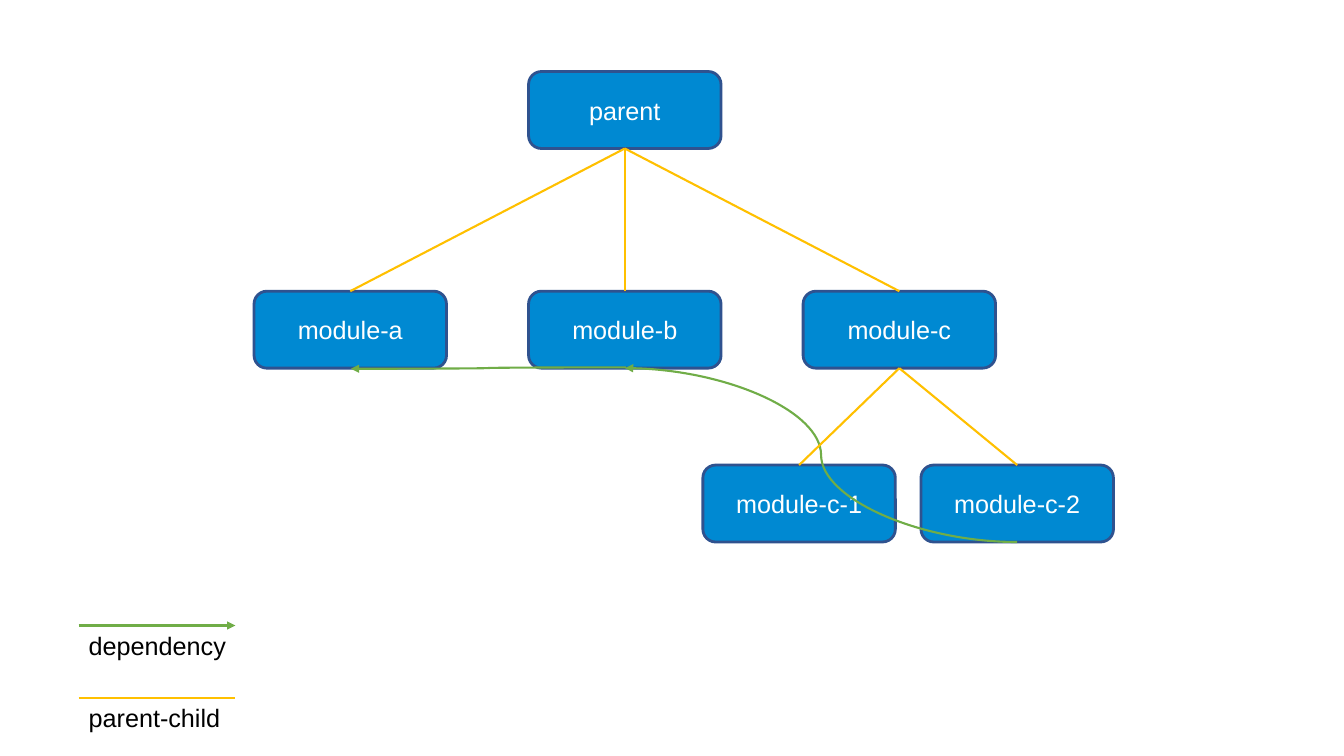
from dataclasses import dataclass

from lxml import etree
from pptx import Presentation
from pptx import util as u
from pptx.dml.color import RGBColor
from pptx.enum import shapes, text
from pptx.oxml.ns import qn


@dataclass(frozen=True)
class Theme:
    """Colours, type and line sizes of the slide."""
    box: str = "0089D2"
    edge: str = "2F528F"
    light: str = "FFFFFF"
    dark: str = "000000"
    child: str = "FFC000"
    dep: str = "70AD47"
    font: str = "Arial"
    size: float = 18
    rim: float = 2
    wire: float = 1.5


THEME = Theme()
WIDTH, HEIGHT = 137.5, 55
MID, STEP = 446.3, 196.1
TOP, BOTTOM = 0, 2  # connection sites of a rounded rectangle
LEFT, SPAN = 56.2, 112

# name: (centre x, top y)
MODULES = {
    "parent": (MID, 51.1),
    "module-b": (MID, 208),
    "module-a": (MID - STEP, 208),
    "module-c": (MID + STEP, 208),
    "module-c-1": (570.8, 332.2),
    "module-c-2": (726.6, 332.2),
}
CHILDREN = {
    "parent": ("module-a", "module-b", "module-c"),
    "module-c": ("module-c-1", "module-c-2"),
}
DEPENDS = (
    ((726.6, 387.2), (446.4, 263)),
    ((447.1, 262.4), (250.6, 263.4)),
)
# label: (y, colour, has arrowhead)
LEGEND = {
    "dependency": (446.8, THEME.dep, True),
    "parent-child": (498.3, THEME.child, False),
}


def apply(item, values):
    """Set each attribute named in a dict."""
    for name, value in values.items():
        setattr(item, name, value)


def write(shape, words, color, frame, align=None):
    """Put one styled line of text in a shape."""
    apply(shape.text_frame, frame)
    para = shape.text_frame.paragraphs[0]
    para.alignment = align
    run = para.add_run()
    run.text = words
    apply(run.font, {"name": THEME.font, "size": u.Pt(THEME.size)})
    run.font.color.rgb = RGBColor.from_string(color)


def stroke(line, color, width):
    """Colour a line and set its width."""
    line.color.rgb = RGBColor.from_string(color)
    line.width = u.Pt(width)


def add_box(slide, name, mid, top):
    """Draw a module as a rounded box and return it."""
    box = slide.shapes.add_shape(
        shapes.MSO_SHAPE.ROUNDED_RECTANGLE,
        u.Pt(mid - WIDTH / 2), u.Pt(top), u.Pt(WIDTH), u.Pt(HEIGHT))
    box.shadow.inherit = False
    box.fill.solid()
    box.fill.fore_color.rgb = RGBColor.from_string(THEME.box)
    stroke(box.line, THEME.edge, THEME.rim)
    write(box, name, THEME.light,
          {"word_wrap": True, "vertical_anchor": text.MSO_ANCHOR.MIDDLE},
          text.PP_ALIGN.CENTER)
    return box


def add_link(slide, start, end, color, arrow=False, curve=False):
    """Draw a straight or curved connector between two points."""
    kind = shapes.MSO_CONNECTOR.CURVE if curve else shapes.MSO_CONNECTOR.STRAIGHT
    link = slide.shapes.add_connector(
        kind, *(u.Pt(value) for value in (*start, *end)))
    stroke(link.line, color, THEME.wire)
    if arrow:
        etree.SubElement(link.line._get_or_add_ln(), qn("a:tailEnd"),
                         type="triangle")
    etree.SubElement(link._element.spPr, qn("a:effectLst"))
    return link


def join(slide, child, parent):
    """Glue a line from the top of a child to the bottom of its parent."""
    link = add_link(slide, (0, 0), (1, 1), THEME.child)
    link.begin_connect(child, TOP)
    link.end_connect(parent, BOTTOM)


def add_key(slide, label, y, color, arrow):
    """Draw a legend line with its label below."""
    add_link(slide, (LEFT, y), (LEFT + SPAN, y), color, arrow)
    note = slide.shapes.add_textbox(
        u.Pt(LEFT), u.Pt(y), u.Pt(SPAN), u.Pt(29))
    write(note, label, THEME.dark,
          {"word_wrap": True, "margin_right": 0,
           "auto_size": text.MSO_AUTO_SIZE.SHAPE_TO_FIT_TEXT})


def main():
    """Build the module tree and save it."""
    deck = Presentation()
    apply(deck, {"slide_width": u.Pt(960), "slide_height": u.Pt(540)})
    slide = deck.slides.add_slide(deck.slide_layouts[6])
    boxes = {name: add_box(slide, name, *place)
             for name, place in MODULES.items()}
    for label, style in LEGEND.items():
        add_key(slide, label, *style)
    for start, end in DEPENDS:
        add_link(slide, start, end, THEME.dep, arrow=True, curve=True)
    for parent, names in CHILDREN.items():
        for name in names:
            join(slide, boxes[name], boxes[parent])
    deck.save("out.pptx")


main()
